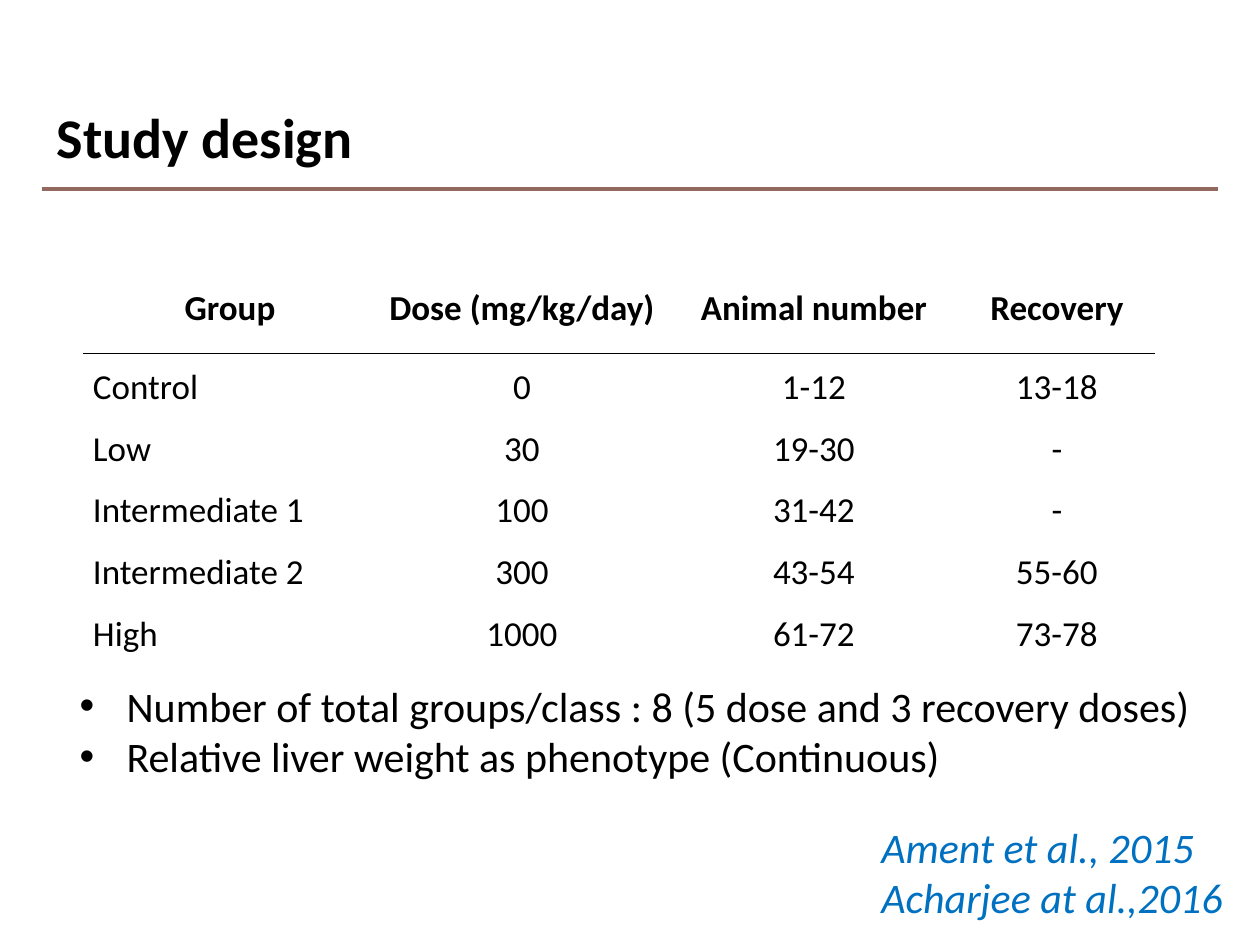
import pptx
import pptx.dml.color
import pptx.enum.shapes
import pptx.enum.text
import pptx.oxml
import pptx.oxml.ns
import pptx.util

TITLE = "Study design"
GROUPS = [
    ("Group", "Dose (mg/kg/day)", "Animal number", "Recovery"),
    ("Control", "0", "1-12", "13-18"),
    ("Low", "30", "19-30", "-"),
    ("Intermediate 1", "100", "31-42", "-"),
    ("Intermediate 2", "300", "43-54", "55-60"),
    ("High", "1000", "61-72", "73-78"),
]
NOTES = [
    "Number of total groups/class : 8 (5 dose and 3 recovery doses)",
    "Relative liver weight as phenotype (Continuous)",
]
CITATIONS = ["Ament et al., 2015", "Acharjee at al.,2016"]

BLACK = pptx.dml.color.RGBColor(0x00, 0x00, 0x00)
BLUE = pptx.dml.color.RGBColor(0x00, 0x70, 0xC0)
BROWN = pptx.dml.color.RGBColor(0x91, 0x69, 0x5F)
FONT = "Calibri"
PIXELS_PER_INCH = 126
COLUMN_WIDTHS = (292, 292, 292, 194)
HEADER_HEIGHT, ROW_HEIGHT = 96, 48
BULLET_INDENT = 47
ALIGN = pptx.enum.text.PP_ALIGN


def px(length):
    return pptx.util.Emu(round(length * 914400 / PIXELS_PER_INCH))


def place(shape, left, top, width, height):
    shape.left, shape.top = px(left), px(top)
    shape.width, shape.height = px(width), px(height)


def format_paragraph(paragraph, size, color=BLACK, bold=False, italic=False, align=ALIGN.LEFT):
    paragraph.alignment = align
    paragraph.space_before = pptx.util.Pt(0)
    font = paragraph.font
    font.name, font.size = FONT, pptx.util.Pt(size)
    font.bold, font.italic = bold, italic
    font.color.rgb = color


def fill_text(shape, lines, size, **style):
    frame = shape.text_frame
    frame.auto_size = pptx.enum.text.MSO_AUTO_SIZE.NONE
    frame.vertical_anchor = pptx.enum.text.MSO_ANCHOR.TOP
    frame.text = "\n".join(lines)
    for paragraph in frame.paragraphs:
        format_paragraph(paragraph, size, **style)
    return frame


def add_border(cell, side):
    border = pptx.oxml.parse_xml(
        f'<a:{side} {pptx.oxml.ns.nsdecls("a")} w="5715"><a:solidFill>'
        f'<a:srgbClr val="{BLACK}"/></a:solidFill></a:{side}>'
    )
    cell._tc.get_or_add_tcPr().insert(0, border)


def add_title_rule(slide):
    rule = slide.shapes.add_connector(
        pptx.enum.shapes.MSO_CONNECTOR.STRAIGHT, px(42), px(189), px(1218), px(189)
    )
    rule.line.color.rgb = BROWN
    rule.line.width = pptx.util.Pt(1.75)
    rule._element.spPr.append(
        pptx.oxml.parse_xml(f'<a:effectLst {pptx.oxml.ns.nsdecls("a")}/>')
    )


def add_group_table(slide):
    height = HEADER_HEIGHT + ROW_HEIGHT * (len(GROUPS) - 1)
    table = slide.shapes.add_table(
        len(GROUPS), len(COLUMN_WIDTHS), px(84), px(257), px(sum(COLUMN_WIDTHS)), px(height)
    ).table
    table.horz_banding = False
    for column, width in zip(table.columns, COLUMN_WIDTHS):
        column.width = px(width)
    for row_index, values in enumerate(GROUPS):
        header = row_index == 0
        table.rows[row_index].height = px(HEADER_HEIGHT if header else ROW_HEIGHT)
        for column_index, value in enumerate(values):
            cell = table.cell(row_index, column_index)
            cell.text = value
            cell.fill.background()
            cell.vertical_anchor = pptx.enum.text.MSO_ANCHOR.MIDDLE
            cell.margin_left = cell.margin_right = px(9)
            paragraph = cell.text_frame.paragraphs[0]
            centred = header or column_index > 0
            format_paragraph(
                paragraph, 20, bold=header, align=ALIGN.CENTER if centred else ALIGN.LEFT
            )
            paragraph.line_spacing = 1.15
            if header:
                add_border(cell, "lnB")
            elif row_index == 1:
                add_border(cell, "lnT")


def main():
    presentation = pptx.Presentation()
    presentation.slide_width, presentation.slide_height = px(1260), px(945)
    slide = presentation.slides.add_slide(presentation.slide_layouts[1])

    title, body = slide.shapes.title, slide.placeholders[1]
    place(title, 44, 96, 1171, 112)
    fill_text(title, [TITLE], 32, bold=True)
    add_title_rule(slide)
    add_group_table(slide)

    place(body, 67, 674, 1139, 165)
    for paragraph in fill_text(body, NOTES, 24).paragraphs:
        properties = paragraph._p.get_or_add_pPr()
        properties.set("marL", str(px(BULLET_INDENT)))
        properties.set("indent", str(px(-BULLET_INDENT)))

    citation = slide.shapes.add_textbox(px(869), px(815), px(367), px(113))
    fill_text(citation, CITATIONS, 24, color=BLUE, italic=True).word_wrap = False

    presentation.save("out.pptx")


if __name__ == "__main__":
    main()
